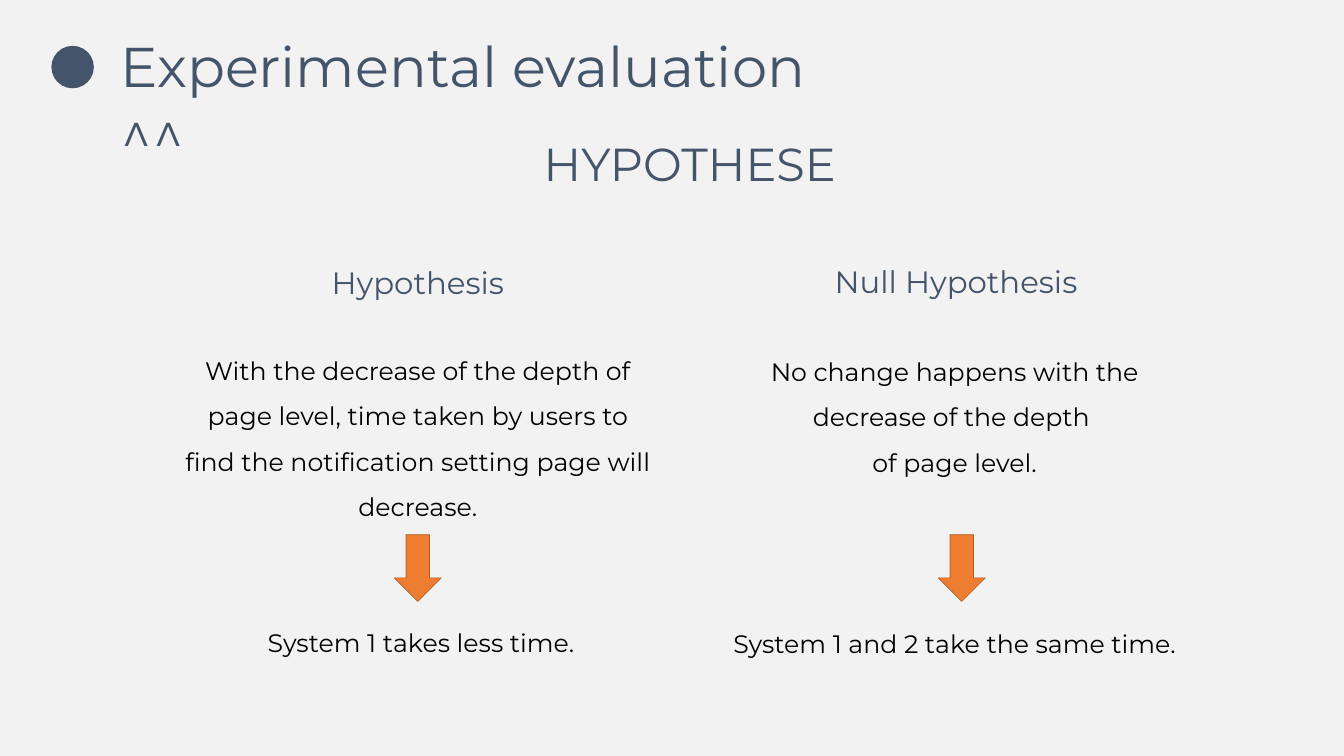
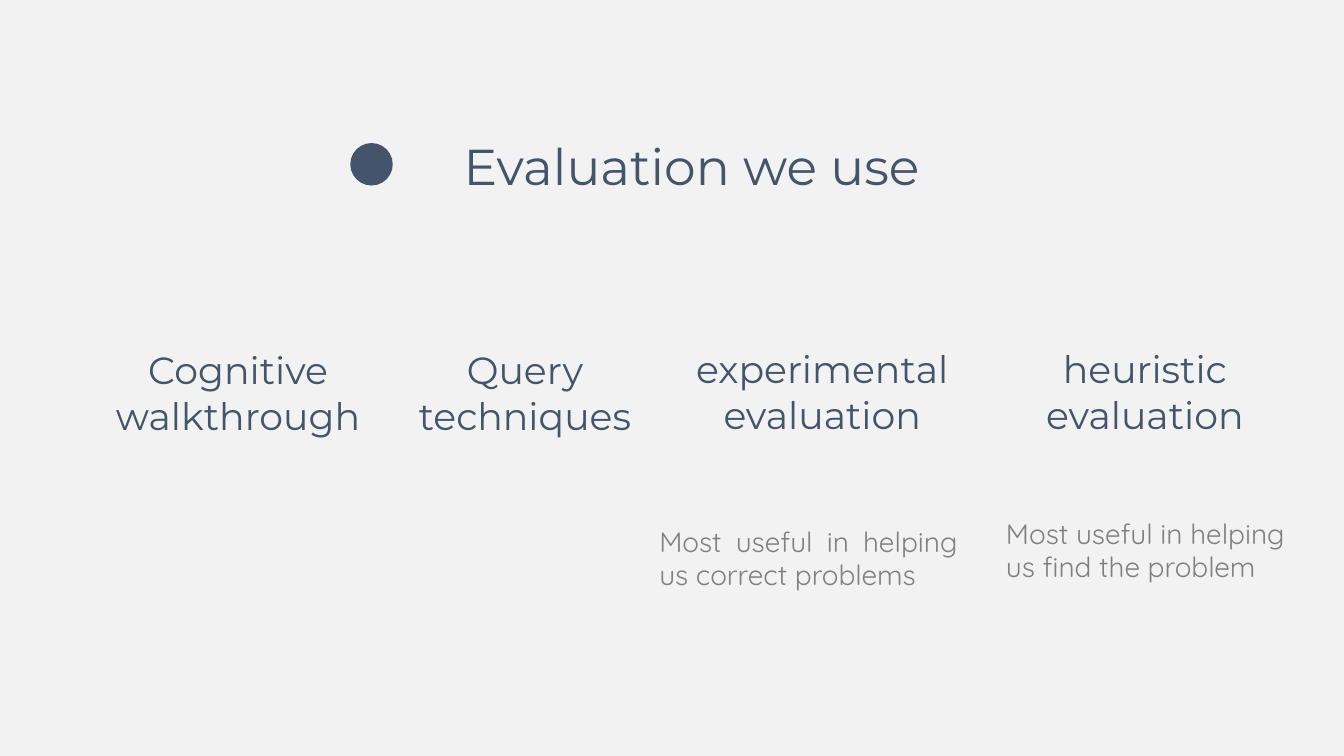
from dataclasses import dataclass

from pptx import Presentation
from pptx import util as u
from pptx.dml.color import RGBColor
from pptx.enum import shapes, text

NAVY, BLACK, GREY = "44546A", "000000", "808080"
PAPER, ORANGE, RUST = "F2F2F2", "ED7D31", "AF5C24"
LEFT, CENTER, JUSTIFY = text.PP_ALIGN.LEFT, text.PP_ALIGN.CENTER, text.PP_ALIGN.JUSTIFY
DOT_SIZE = 2.14
ARROW_TOP, ARROW_WIDTH, ARROW_HEIGHT = 26.95, 2.37, 3.36
PANEL_LEFTS = (20.32, 34.37, 49.99)
PANEL_TOP, PANEL_WIDTH, PANEL_HEIGHT = 12.6, 13.03, 19.2
TITLE_ONLY = 5


@dataclass
class Box:
    left: float
    top: float
    width: float
    height: float

    def lengths(self) -> list:
        return [u.Cm(n) for n in (self.left, self.top, self.width, self.height)]


@dataclass
class Claim:
    heading: str
    heading_box: Box
    lines: list
    body_box: Box
    gap: float
    arrow_left: float


@dataclass
class Label:
    words: str
    box: Box
    align: text.PP_ALIGN = CENTER


CLAIMS = [
    Claim("Hypothesis", Box(12.51, 13.16, 17.09, 2.21),
          ["With the decrease of the depth of page level, time taken by users to "
           "find the notification setting page will decrease.",
           " System 1 takes less time."],
          Box(8.97, 17.01, 24.16, 14.17), 129, 19.87),
    Claim("Null Hypothesis", Box(41.15, 13.11, 14.05, 2.31),
          ["No change happens with the decrease of the depth ",
           "of page level.",
           "System 1 and 2 take the same time."],
          Box(36.25, 17.07, 23.7, 12.04), 194, 47.28),
]

METHODS = [
    Label("Cognitive walkthrough", Box(5.25, 17.37, 13.49, 3.68)),
    Label("Query techniques", Box(19.58, 17.37, 13.74, 3.51)),
    Label("experimental evaluation", Box(34.56, 17.31, 13.74, 3.51)),
    Label("heuristic evaluation", Box(51.43, 17.31, 12.52, 3.51)),
]

REASONS = [
    Label("Most useful in helping us correct problems ",
          Box(32.97, 26.29, 15.52, 3.68), JUSTIFY),
    Label("Most useful in helping us find the problem",
          Box(50.44, 25.9, 15.52, 3.68), LEFT),
]


def rgb(value: str) -> RGBColor:
    return RGBColor.from_string(value)


def write(sp, lines: list, size: float, color: str = NAVY, font: str = "Montserrat",
          align=CENTER, spacing: float = 1.0, last_gap: float = 0) -> None:
    tf = sp.text_frame
    tf.word_wrap = True
    tf.auto_size = text.MSO_AUTO_SIZE.NONE
    tf.vertical_anchor = text.MSO_ANCHOR.TOP
    for i, line in enumerate(lines):
        p = tf.add_paragraph() if i else tf.paragraphs[0]
        p.alignment = align
        p.line_spacing = spacing
        p.space_before = u.Pt(last_gap if i and i == len(lines) - 1 else 0)
        r = p.add_run()
        r.text = line
        r.font.size = u.Pt(size)
        r.font.name = font
        r.font.color.rgb = rgb(color)


def add_text(s, box: Box, lines: list, size: float, **fmt) -> None:
    write(s.shapes.add_textbox(*box.lengths()), lines, size, **fmt)


def add_shape(s, kind, box: Box, fill: str, line: str = "") -> None:
    sp = s.shapes.add_shape(kind, *box.lengths())
    sp.shadow.inherit = False
    sp.fill.solid()
    sp.fill.fore_color.rgb = rgb(fill)
    if line:
        sp.line.color.rgb = rgb(line)
        sp.line.width = u.Pt(1)
    else:
        sp.line.fill.background()


def add_titled_slide(prs, lines: list, box: Box, size: float, dot_left: float,
                     dot_top: float, align=CENTER):
    s = prs.slides.add_slide(prs.slide_layouts[TITLE_ONLY])
    title = s.shapes.title
    title.left, title.top, title.width, title.height = box.lengths()
    write(title, lines, size, align=align)
    add_shape(s, shapes.MSO_SHAPE.OVAL, Box(dot_left, dot_top, DOT_SIZE, DOT_SIZE), NAVY)
    return s


def build_hypotheses(prs) -> None:
    s = add_titled_slide(prs, ["Experimental evaluation", "^^"],
                         Box(5.82, 1.47, 37.74, 7.09), 80, 2.59, 2.31, align=LEFT)
    add_text(s, Box(19.86, 6.68, 29.79, 2.9), ["HYPOTHESE"], 66)
    for claim in CLAIMS:
        add_text(s, claim.heading_box, [claim.heading], 44)
        add_text(s, claim.body_box, claim.lines, 36, color=BLACK, spacing=1.5,
                 last_gap=claim.gap)
        add_shape(s, shapes.MSO_SHAPE.DOWN_ARROW,
                  Box(claim.arrow_left, ARROW_TOP, ARROW_WIDTH, ARROW_HEIGHT), ORANGE, RUST)


def build_methods(prs) -> None:
    s = add_titled_slide(prs, ["Evaluation we use"],
                         Box(18.71, 6.68, 32.26, 5.89), 72, 17.65, 7.21)
    for left in PANEL_LEFTS:
        add_shape(s, shapes.MSO_SHAPE.RECTANGLE,
                  Box(left, PANEL_TOP, PANEL_WIDTH, PANEL_HEIGHT), PAPER)
    for method in METHODS:
        add_text(s, method.box, [method.words], 54, align=method.align)
    for reason in REASONS:
        add_text(s, reason.box, [reason.words], 40, color=GREY, font="Quicksand",
                 align=reason.align)


def main() -> None:
    prs = Presentation()
    prs.slide_width, prs.slide_height = u.Cm(67.72), u.Cm(38.1)
    background = prs.slide_master.background.fill
    background.solid()
    background.fore_color.rgb = rgb(PAPER)
    build_hypotheses(prs)
    build_methods(prs)
    prs.save("out.pptx")


if __name__ == "__main__":
    main()
